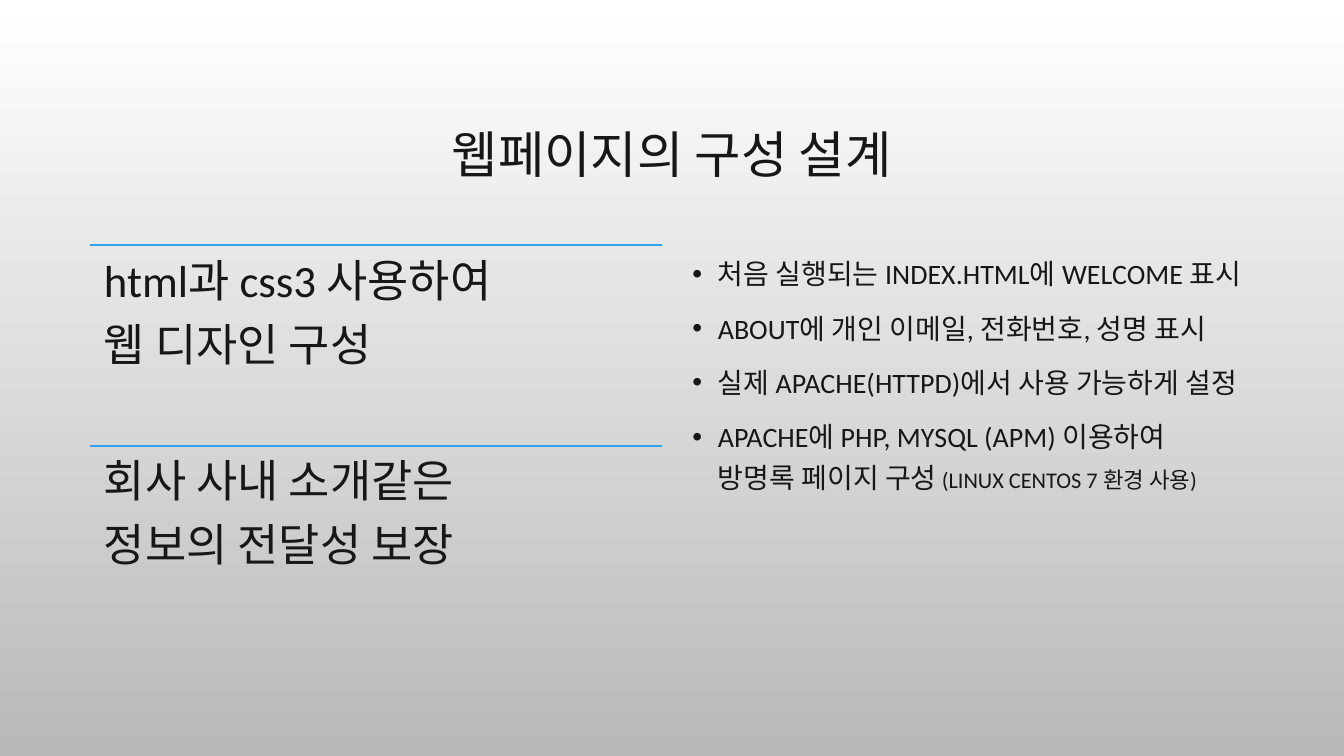
from dataclasses import dataclass

from lxml.etree import SubElement
from pptx import Presentation
from pptx.dml.color import RGBColor
from pptx.enum.shapes import MSO_CONNECTOR
from pptx.enum.text import MSO_ANCHOR, PP_ALIGN
from pptx.oxml.ns import qn
from pptx.util import Cm, Pt


@dataclass(frozen=True)
class Theme:
    font: str = "Calibri"
    ink: RGBColor = RGBColor(0x17, 0x17, 0x17)
    rule: RGBColor = RGBColor(0x2F, 0xA3, 0xEE)
    sky: RGBColor = RGBColor(0xFF, 0xFF, 0xFF)
    ground: RGBColor = RGBColor(0xB9, 0xB9, 0xB9)
    title_size: Pt = Pt(36)
    goal_size: Pt = Pt(32)
    task_size: Pt = Pt(20)
    remark_size: Pt = Pt(16)
    rule_width: Pt = Pt(1.25)


THEME = Theme()
CONTENT_TOP = 6.18
GOAL_LEFT, GOAL_WIDTH, GOAL_HEIGHT = 2.28, 14.41, 5.05

GOALS = [
    ["html과 css3 사용하여", "웹 디자인 구성"],
    ["회사 사내 소개같은", "정보의 전달성 보장"],
]
TASKS = [
    ["처음 실행되는 INDEX.HTML에 WELCOME 표시"],
    ["ABOUT에 개인 이메일, 전화번호, 성명 표시"],
    ["실제 APACHE(HTTPD)에서 사용 가능하게 설정"],
    ["APACHE에 PHP, MYSQL (APM) 이용하여 방명록 페이지 구성", " (LINUX CENTOS 7 환경 사용)"],
]


def paint_background(slide):
    fill = slide.background.fill
    fill.gradient()
    fill.gradient_angle = 270
    for stop, color in zip(fill.gradient_stops, (THEME.sky, THEME.ground)):
        stop.color.rgb = color


def add_frame(slide, left, top, width, height):
    frame = slide.shapes.add_textbox(Cm(left), Cm(top), Cm(width), Cm(height)).text_frame
    frame.word_wrap = True
    return frame


def paragraphs_for(frame, items):
    for index, item in enumerate(items):
        yield (frame.add_paragraph() if index else frame.paragraphs[0]), item


def style(paragraph, size, line_spacing):
    paragraph.line_spacing = line_spacing
    paragraph.font.name = THEME.font
    paragraph.font.size = size
    paragraph.font.color.rgb = THEME.ink


def add_bullet(paragraph):
    properties = paragraph._p.get_or_add_pPr()
    properties.set("marL", str(Cm(0.64)))
    properties.set("indent", str(-Cm(0.64)))
    color = SubElement(properties, qn("a:buClr"))
    SubElement(color, qn("a:srgbClr"), val=str(THEME.ink))
    SubElement(properties, qn("a:buFont"), typeface="Arial")
    SubElement(properties, qn("a:buChar"), char="•")


def add_title(slide, text):
    frame = add_frame(slide, 2.54, 1.73, 28.78, 4.45)
    frame.vertical_anchor = MSO_ANCHOR.MIDDLE
    heading = frame.paragraphs[0]
    heading.text = text
    heading.alignment = PP_ALIGN.CENTER
    style(heading, THEME.title_size, 0.9)


def add_rule(slide, top):
    rule = slide.shapes.add_connector(
        MSO_CONNECTOR.STRAIGHT, Cm(GOAL_LEFT), Cm(top), Cm(GOAL_LEFT + GOAL_WIDTH), Cm(top))
    rule.line.color.rgb = THEME.rule
    rule.line.width = THEME.rule_width
    SubElement(rule._element.spPr, qn("a:effectLst"))


def add_goal(slide, top, lines):
    add_rule(slide, top)
    frame = add_frame(slide, GOAL_LEFT, top, GOAL_WIDTH, GOAL_HEIGHT)
    frame.margin_left = frame.margin_right = Cm(0.34)
    frame.margin_top = frame.margin_bottom = Cm(0.34)
    for paragraph, line in paragraphs_for(frame, lines):
        paragraph.text = line
        paragraph.space_after = Pt(11.2)
        style(paragraph, THEME.goal_size, 0.9)


def add_tasks(slide, tasks):
    frame = add_frame(slide, 17.2, CONTENT_TOP, 14.43, 10.1)
    for paragraph, (task, *remarks) in paragraphs_for(frame, tasks):
        add_bullet(paragraph)
        paragraph.add_run().text = task
        for remark in remarks:
            aside = paragraph.add_run()
            aside.text = remark
            aside.font.size = THEME.remark_size
        style(paragraph, THEME.task_size, 1.2)
    for paragraph in frame.paragraphs[1:]:
        paragraph.space_before = Pt(10)


def main():
    deck = Presentation()
    deck.slide_width, deck.slide_height = Cm(33.87), Cm(19.05)
    slide = deck.slides.add_slide(deck.slide_layouts[6])
    paint_background(slide)
    add_title(slide, "웹페이지의 구성 설계")
    for row, lines in enumerate(GOALS):
        add_goal(slide, CONTENT_TOP + row * GOAL_HEIGHT, lines)
    add_tasks(slide, TASKS)
    deck.save("out.pptx")


if __name__ == "__main__":
    main()
